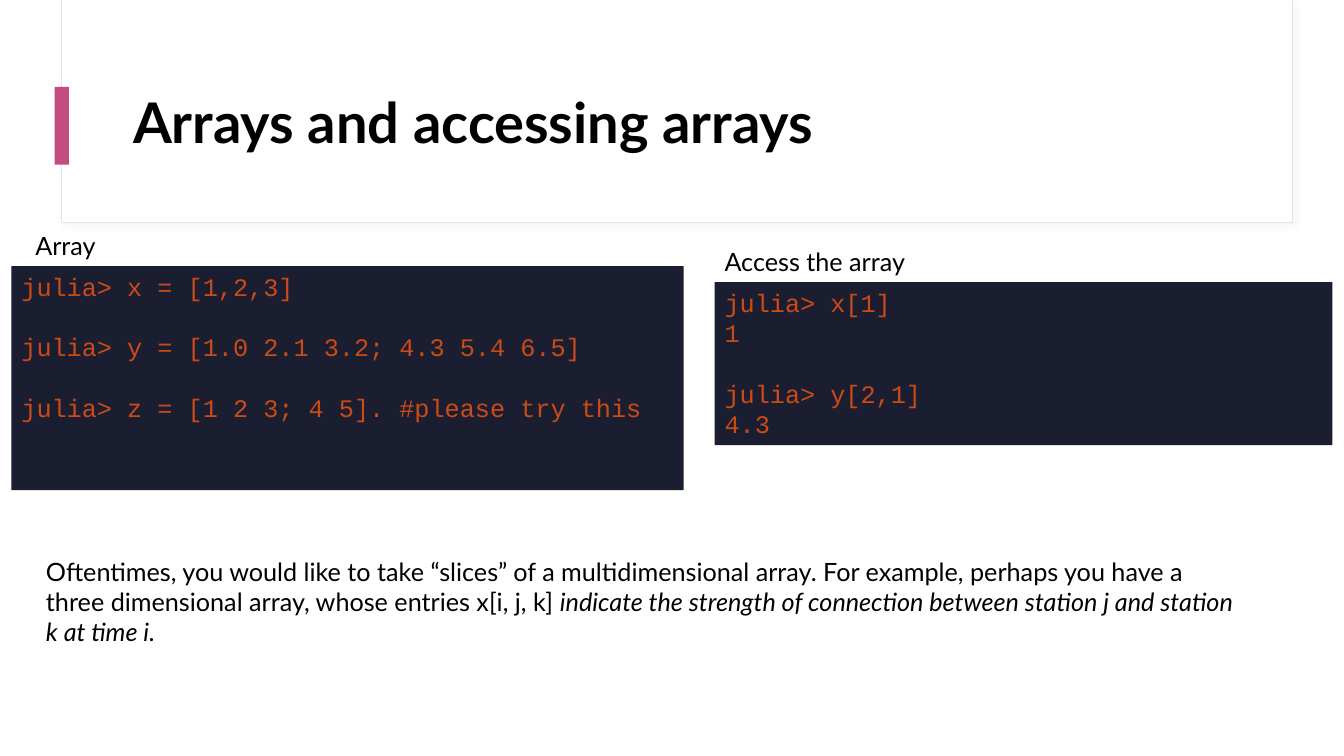
from dataclasses import dataclass

from lxml import etree
from pptx import Presentation
from pptx import util as u
from pptx.dml.color import RGBColor
from pptx.enum import shapes, text
from pptx.oxml import ns


@dataclass(frozen=True)
class Theme:
    paper: str = "FFFFFF"
    ink: str = "000000"
    edge: str = "E3E4F0"
    shade: str = "D9D9D9"
    accent: str = "C34D81"
    panel: str = "1B1D31"
    code: str = "CB4B16"
    sans: str = "Lato"
    mono: str = "Courier New"
    head: float = 40
    body: float = 18
    line: float = 21.6


THEME = Theme()


def color(code):
    return RGBColor.from_string(code)


def place(item, box):
    item.left, item.top, item.width, item.height = map(u.Cm, box)


def add_run(para, words, font=THEME.sans, size=THEME.body, tint=THEME.ink,
            bold=False, slant=False):
    run = para.add_run()
    run.text = words
    run.font.name, run.font.size = font, u.Pt(size)
    run.font.bold, run.font.italic = bold, slant
    run.font.color.rgb = color(tint)


def add_rect(slide, box, fill, edge=None):
    rect = slide.shapes.add_shape(shapes.MSO_SHAPE.RECTANGLE, *map(u.Cm, box))
    rect.shadow.inherit = False
    rect.fill.solid()
    rect.fill.fore_color.rgb = color(fill)
    if edge:
        rect.line.color.rgb = color(edge)
        rect.line.width = u.Pt(0.75)
    else:
        rect.line.fill.background()
    return rect


def add_shade(rect):
    """Soft shadow down and to the right."""
    effects = rect._element.spPr.find(ns.qn("a:effectLst"))
    outer = etree.SubElement(effects, ns.qn("a:outerShdw"), blurRad=str(u.Pt(4)),
                             dist=str(u.Pt(3)), dir=str(45 * 60000), rotWithShape="0")
    tint = etree.SubElement(outer, ns.qn("a:srgbClr"), val=THEME.shade)
    etree.SubElement(tint, ns.qn("a:alpha"), val="20000")


def add_title(slide, box, words):
    title = slide.shapes.title
    # Bring the title in front of the header card
    slide.shapes._spTree.append(title._element)
    place(title, box)
    frame = title.text_frame
    frame.word_wrap = True
    frame.auto_size = text.MSO_AUTO_SIZE.NONE
    frame.vertical_anchor = text.MSO_ANCHOR.MIDDLE
    para = frame.paragraphs[0]
    para.alignment = text.PP_ALIGN.LEFT
    para.line_spacing = 0.9
    add_run(para, words, size=THEME.head, bold=True)


def add_text(slide, box, runs, wrap=False):
    frame = slide.shapes.add_textbox(*map(u.Cm, box)).text_frame
    frame.word_wrap = wrap
    for words, slant in runs:
        add_run(frame.paragraphs[0], words, slant=slant)


def add_code(slide, box, groups):
    """Dark panel; each group of lines stands one line below the last."""
    frame = add_rect(slide, box, THEME.panel).text_frame
    frame.word_wrap = True
    frame.vertical_anchor = text.MSO_ANCHOR.TOP
    for g, group in enumerate(groups):
        for n, words in enumerate(group):
            first = g == n == 0
            para = frame.paragraphs[0] if first else frame.add_paragraph()
            para.alignment = text.PP_ALIGN.LEFT
            para.line_spacing = u.Pt(THEME.line)
            if g and n == 0:
                para.space_before = u.Pt(THEME.line)
            add_run(para, words, THEME.mono, tint=THEME.code)


def main():
    deck = Presentation()
    deck.slide_width, deck.slide_height = u.Cm(33.87), u.Cm(19.05)
    slide = deck.slides.add_slide(deck.slide_layouts[5])

    # Header card, accent bar and title
    add_shade(add_rect(slide, (1.55, 0, 31.03, 5.61), THEME.paper, THEME.edge))
    add_rect(slide, (1.38, 2.19, 0.36, 1.96), THEME.accent)
    add_title(slide, (3.1, 1.52, 28.24, 3.28), "Arrays and accessing arrays")

    # Making arrays
    add_text(slide, (0.64, 5.69, 2.13, 1.02), [("Array", False)])
    add_code(slide, (0.29, 6.71, 16.94, 5.64), [
        ["julia> x = [1,2,3]"],
        ["julia> y = [1.0 2.1 3.2; 4.3 5.4 6.5]"],
        ["julia> z = [1 2 3; 4 5]. #please try this"],
    ])

    # Reading entries
    add_text(slide, (18.01, 6.08, 5.54, 1.02), [("Access the array", False)])
    add_code(slide, (18.01, 7.11, 15.57, 4.11), [
        ["julia> x[1]", "1"],
        ["julia> y[2,1]", "4.3"],
    ])

    # Closing note
    add_text(slide, (0.91, 13.89, 30.56, 2.57), [
        ("Oftentimes, you would like to take “slices” of a multidimensional array. "
         "For example, perhaps you have a three dimensional array, "
         "whose entries x[i, j, k] ", False),
        ("indicate the strength of connection between station j "
         "and station k at time i.", True),
    ], wrap=True)

    deck.save("out.pptx")


if __name__ == "__main__":
    main()
